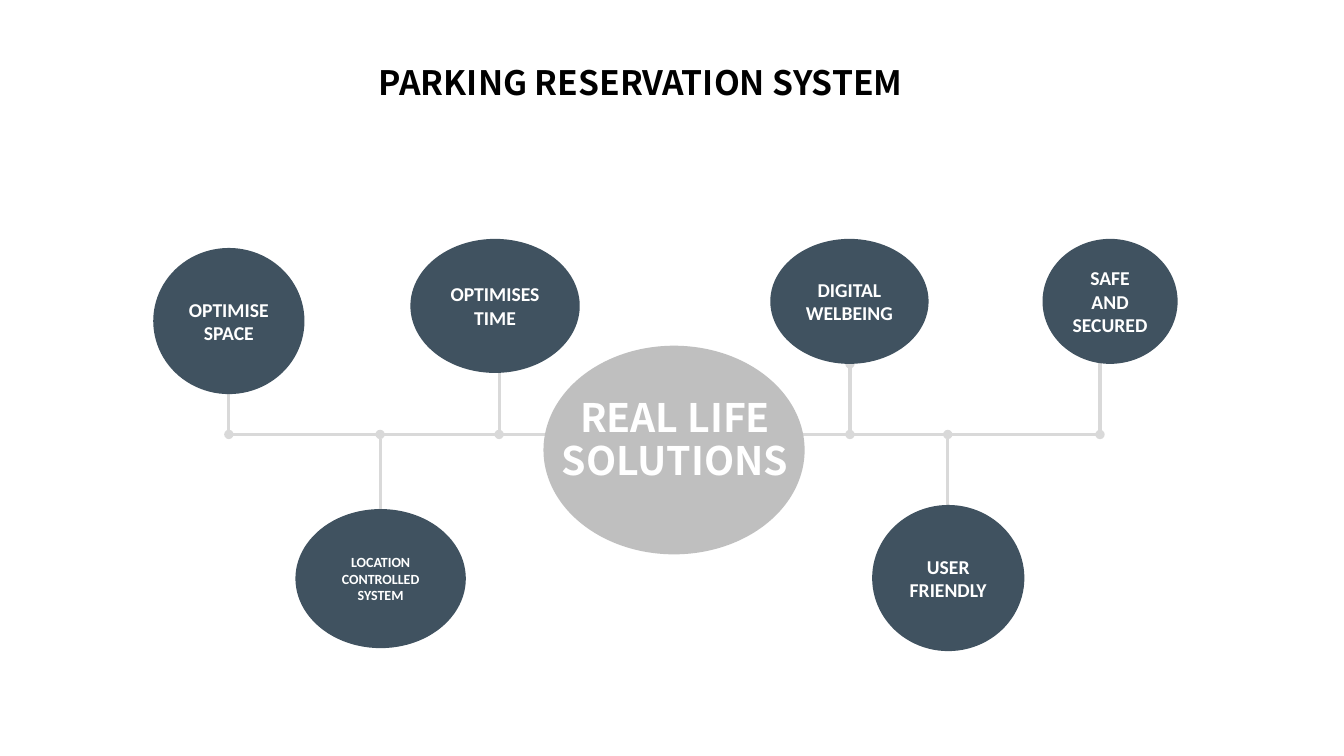
from lxml.etree import SubElement
from pptx import Presentation
from pptx.dml.color import RGBColor
from pptx.enum.shapes import MSO_CONNECTOR, MSO_SHAPE
from pptx.enum.text import MSO_ANCHOR, PP_ALIGN
from pptx.oxml.ns import qn
from pptx.util import Pt

PX = 9144
BLACK = RGBColor(0x00, 0x00, 0x00)
WHITE = RGBColor(0xFF, 0xFF, 0xFF)
SLATE = RGBColor(0x40, 0x52, 0x60)
GREY = RGBColor(0xBF, 0xBF, 0xBF)
LINE_GREY = RGBColor(0xD9, 0xD9, 0xD9)
HEADING_FONT = "Noto Sans CJK SC"
BODY_FONT = "Calibri"

# text, ellipse box, stem x, stem end, font size
IDEAS = [
    ("OPTIMISE SPACE", (0, 9, 150, 145), 75, 116, 14),
    ("OPTIMISES TIME", (255, 0, 168, 133), 343, 116, 14),
    ("DIGITAL WELBEING", (612, 0, 157, 124), 691, 124, 14),
    ("SAFE AND SECURED", (882, 0, 134, 124), 939, 116, 14),
    ("LOCATION CONTROLLED SYSTEM", (141, 268, 169, 138), 225, 272, 10),
    ("USER FRIENDLY", (713, 264, 151, 145), 788, 272, 14),
]
TRUNK_Y = 194


def emu(*lengths):
    return [n * PX for n in lengths]


def write(s, text, size, font, color, align):
    tf = s.text_frame
    tf.word_wrap = True
    tf.text = text
    p = tf.paragraphs[0]
    p.alignment = align
    f = p.runs[0].font
    f.size, f.name, f.bold = Pt(size), font, True
    f.color.rgb = color
    r_pr = p.runs[0].font._element
    SubElement(r_pr, qn("a:ea")).set("typeface", font)
    return p


def add_line(slide, x1, y1, x2, y2, dots=False):
    c = slide.shapes.add_connector(MSO_CONNECTOR.STRAIGHT, *emu(x1, y1, x2, y2))
    c.line.color.rgb = LINE_GREY
    c.line.width = Pt(2.25)
    if dots:
        ln = c.line._get_or_add_ln()
        for end in ("a:headEnd", "a:tailEnd"):
            SubElement(ln, qn(end)).set("type", "oval")
    SubElement(c._element.spPr, qn("a:effectLst"))


def add_ellipse(slide, x, y, w, h, color):
    s = slide.shapes.add_shape(MSO_SHAPE.OVAL, *emu(x, y, w, h))
    s.shadow.inherit = False
    s.fill.solid()
    s.fill.fore_color.rgb = color
    s.line.fill.background()
    return s


def add_title(slide, x, y, w, h):
    s = slide.shapes.add_textbox(*emu(x, y, w, h))
    write(s, "PARKING RESERVATION SYSTEM", 24, HEADING_FONT, BLACK, PP_ALIGN.LEFT)


def add_branches(slide, x, y):
    stems = [stem_x for _, _, stem_x, _, _ in IDEAS]
    add_line(slide, x + min(stems), y + TRUNK_Y, x + max(stems), y + TRUNK_Y)
    for _, _, stem_x, stem_end, _ in IDEAS:
        add_line(slide, x + stem_x, y + TRUNK_Y, x + stem_x, y + stem_end, dots=True)


def add_ideas(slide, x, y):
    for text, (dx, dy, w, h), _, _, size in IDEAS:
        s = add_ellipse(slide, x + dx, y + dy, w, h, SLATE)
        s.text_frame.vertical_anchor = MSO_ANCHOR.MIDDLE
        write(s, text, size, BODY_FONT, WHITE, PP_ALIGN.CENTER)


def add_hub(slide, x, y, w, h):
    add_ellipse(slide, x, y, w, h, GREY)
    s = slide.shapes.add_textbox(*emu(x, y + 48, w + 2, h - 30))
    p = write(s, "REAL LIFE SOLUTIONS", 28, HEADING_FONT, WHITE, PP_ALIGN.CENTER)
    p.line_spacing = 0.9


def main():
    prs = Presentation()
    prs.slide_width, prs.slide_height = emu(1333, 750)
    slide = prs.slides.add_slide(prs.slide_layouts[6])
    add_branches(slide, 152, 237)
    add_title(slide, 366, 57, 690, 50)
    add_hub(slide, 539, 343, 259, 207)
    add_ideas(slide, 152, 237)
    prs.save("out.pptx")


if __name__ == "__main__":
    main()
